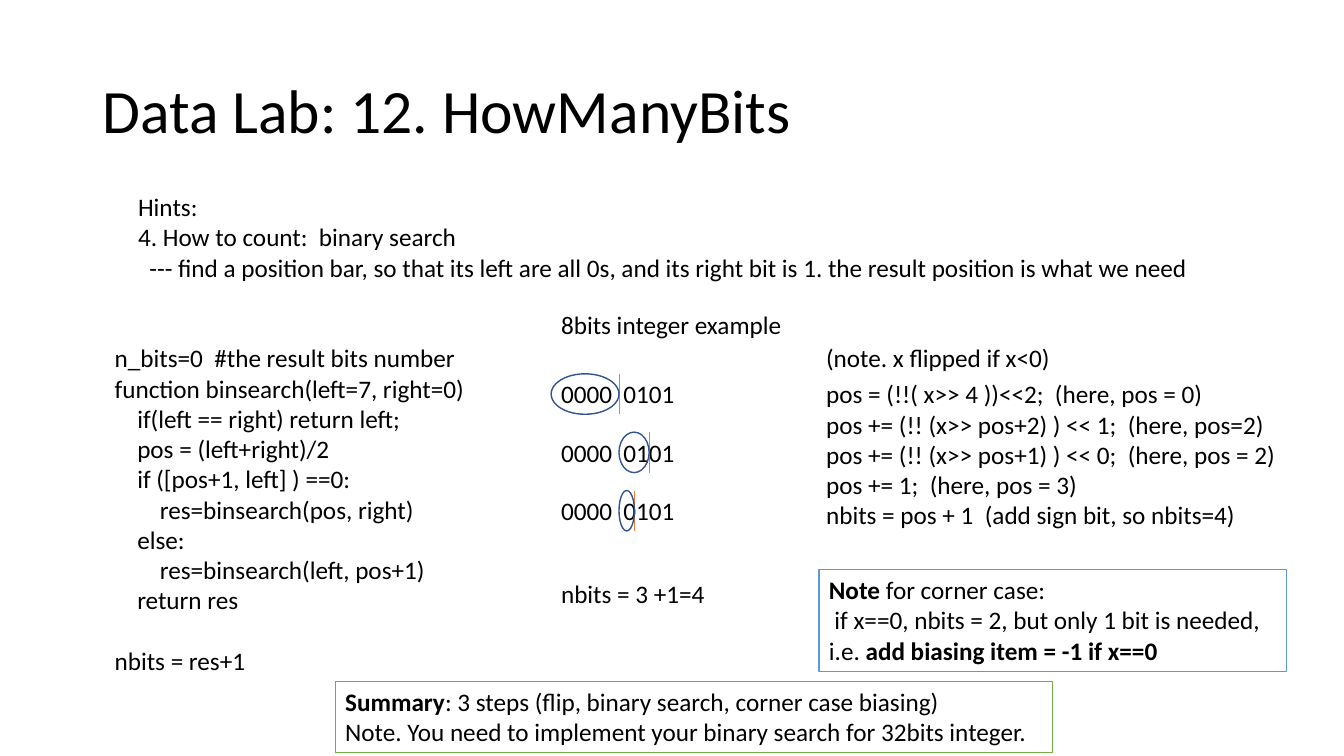
from lxml.etree import SubElement
from pptx import Presentation
from pptx.dml.color import RGBColor
from pptx.enum.shapes import MSO_CONNECTOR, MSO_SHAPE
from pptx.enum.text import MSO_ANCHOR, PP_ALIGN
from pptx.oxml.ns import qn
from pptx.util import Cm, Pt


def color(hex_code):
    """Turn a hex string into a colour."""
    return RGBColor.from_string(hex_code)


def write(shape, paragraphs, size=18):
    """Fill a shape with paragraphs of (indent in cm, [(text, bold), ...])."""
    frame = shape.text_frame
    frame.word_wrap = True
    for index, (indent, runs) in enumerate(paragraphs):
        paragraph = frame.add_paragraph() if index else frame.paragraphs[0]
        paragraph.alignment = PP_ALIGN.LEFT
        if indent:
            properties = paragraph._p.get_or_add_pPr()
            properties.set("marL", str(Cm(indent)))
            properties.set("indent", "0")
        for text, bold in runs:
            run = paragraph.add_run()
            run.text = text
            run.font.name = "Calibri"
            run.font.size = Pt(size)
            run.font.bold = bold
            run.font.color.rgb = color("000000")
    return frame


deck = Presentation()
deck.slide_width, deck.slide_height = Cm(33.87), Cm(19.05)
slide = deck.slides.add_slide(deck.slide_layouts[6])
shapes = slide.shapes
slide.background.fill.solid()
slide.background.fill.fore_color.rgb = color("FFFFFF")

title = shapes.add_textbox(Cm(2.33), Cm(1.01), Cm(29.21), Cm(3.68))
heading = write(title, [(0, [("Data Lab: 12. HowManyBits", False)])], 44)
heading.vertical_anchor = MSO_ANCHOR.MIDDLE
heading.paragraphs[0].line_spacing = 0.9

# Plain texts: left, top, width, height, then (indent steps, line)
INDENT = 0.57
hints = [
    (0, "Hints:"),
    (0, "4. How to count:  binary search"),
    (0.5, "--- find a position bar, so that its left are all 0s, "
          "and its right bit is 1. the result position is what we need"),
]
pseudocode = [
    (0, "n_bits=0  #the result bits number"),
    (0, "function binsearch(left=7, right=0)"),
    (1, "if(left == right) return left;"),
    (1, "pos = (left+right)/2"),
    (1, "if ([pos+1, left] ) ==0:"),
    (2, "res=binsearch(pos, right)"),
    (1, "else:"),
    (2, "res=binsearch(left, pos+1)"),
    (1, "return res"),
    (0, "nbits = res+1"),
]
bit_steps = [
    (0, "pos = (!!( x>> 4 ))<<2;  (here, pos = 0)"),
    (0, "pos += (!! (x>> pos+2) ) << 1;  (here, pos=2)"),
    (0, "pos += (!! (x>> pos+1) ) << 0;  (here, pos = 2)"),
    (0, "pos += 1;  (here, pos = 3)"),
    (0, "nbits = pos + 1  (add sign bit, so nbits=4)"),
]
EXAMPLE_LEFT, ROW_TOP, ROW_PITCH, ROW_HEIGHT = 13.89, 9.42, 1.47, 1.02
texts = [
    (3.23, 4.7, 27.3, 3.33, hints),
    (EXAMPLE_LEFT, 7.67, 6.12, ROW_HEIGHT, [(0, "8bits integer example")]),
    (2.64, 8.51, 9.45, 8.71, pseudocode),
    (EXAMPLE_LEFT, 14.45, 4.3, ROW_HEIGHT, [(0, "nbits = 3 +1=4")]),
    (20.57, ROW_TOP, 12.1, 4.88, bit_steps),
    (20.57, 8.51, 6.4, ROW_HEIGHT, [(0, "(note. x flipped if x<0)")]),
]
for left, top, width, height, lines in texts:
    box = shapes.add_textbox(Cm(left), Cm(top), Cm(width), Cm(height))
    frame = write(box, [(step * INDENT, [(line, False)]) for step, line in lines])
    if lines is pseudocode:
        frame.paragraphs[-1].space_before = Pt(22)

# Each search step circles the bits checked, up to its position bar
search_steps = [(EXAMPLE_LEFT, 15.6), (15.6, 16.36), (15.6, 15.99)]
for row, (start, bar_x) in enumerate(search_steps):
    top = ROW_TOP + row * ROW_PITCH
    bits = shapes.add_textbox(Cm(EXAMPLE_LEFT), Cm(top), Cm(3.6), Cm(ROW_HEIGHT))
    write(bits, [(0, [("0000  0101", False)])])

    bar = shapes.add_connector(MSO_CONNECTOR.STRAIGHT, Cm(bar_x), Cm(top),
                               Cm(bar_x), Cm(top + ROW_HEIGHT))
    bar.line.color.rgb = color("ED7D31")
    bar.line.width = Pt(0.5)
    SubElement(bar._element.spPr, qn("a:effectLst"))

    checked = shapes.add_shape(MSO_SHAPE.OVAL, Cm(start), Cm(top),
                               Cm(bar_x - start), Cm(ROW_HEIGHT))
    checked.shadow.inherit = False
    checked.fill.background()
    checked.line.color.rgb = color("325491")
    checked.line.width = Pt(1)

corner_case = [
    (0, [("Note", True), (" for corner case:", False)]),
    (0.14, [("if x==0, nbits = 2, but only 1 bit is needed,", False)]),
    (0, [("i.e. ", False), ("add biasing item = -1 if x==0", True)]),
]
summary = [
    (0, [("Summary", True),
         (": 3 steps (flip, binary search, corner case biasing)", False)]),
    (0, [("Note. You need to implement your binary search for 32bits integer.",
          False)]),
]
callouts = [
    (20.64, 14.35, 11.78, 2.57, "5B9BD5", corner_case),
    (8.45, 17.17, 18.08, 1.8, "70AD47", summary),
]
for left, top, width, height, border, paragraphs in callouts:
    callout = shapes.add_shape(MSO_SHAPE.RECTANGLE, Cm(left), Cm(top),
                               Cm(width), Cm(height))
    callout.shadow.inherit = False
    callout.fill.solid()
    callout.fill.fore_color.rgb = color("FFFFFF")
    callout.line.color.rgb = color(border)
    callout.line.width = Pt(1)
    write(callout, paragraphs).vertical_anchor = MSO_ANCHOR.TOP

deck.save("out.pptx")
